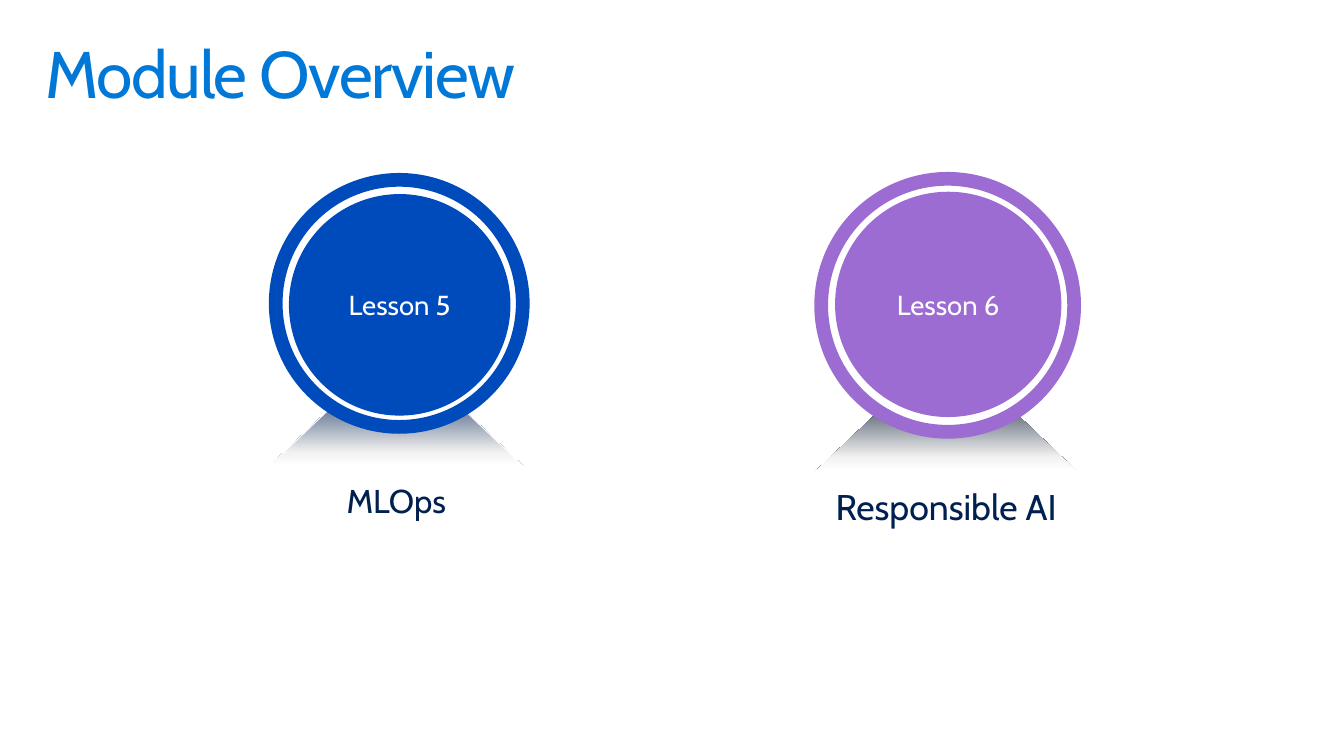
"""Build the Module Overview slide with two lesson badges."""
from dataclasses import dataclass
from typing import Optional

from pptx import Presentation
from pptx.dml.color import RGBColor
from pptx.enum.shapes import MSO_SHAPE as SHAPE
from pptx.enum.text import MSO_ANCHOR as ANCHOR, MSO_AUTO_SIZE as AUTO, PP_ALIGN as ALIGN
from pptx.oxml import parse_xml
from pptx.oxml.ns import nsdecls, qn
from pptx.util import Inches, Pt

FONT = "Cabin"
WHITE, NAVY, TITLE_BLUE = "FFFFFF", "002050", "0078D7"

Box = tuple[float, float, float, float]


@dataclass(frozen=True)
class Lesson:
    label: str
    topic: str
    topic_size: int
    color: str
    shade: str
    base: Box
    ring: Box
    disc: Box
    caption: Box
    edge: Optional[str] = None
    disc_edge: Optional[str] = None


LESSONS = [
    Lesson("Lesson 5", "MLOps", 24, "004BBC", NAVY,
           base=(2.72, 3.8, 2.58, 0.92), ring=(2.79, 1.82, 2.5, 2.5),
           disc=(2.93, 1.97, 2.23, 2.23), caption=(2.72, 4.81, 2.58, 0.57),
           edge=WHITE, disc_edge="004BBC"),
    Lesson("Lesson 6", "Responsible AI", 26, "9C6CD2", "001028",
           base=(8.25, 3.83, 2.65, 0.94), ring=(8.31, 1.81, 2.56, 2.56),
           disc=(8.45, 1.94, 2.29, 2.28), caption=(8.25, 4.86, 2.65, 0.6)),
]


def rgb(value: str) -> RGBColor:
    return RGBColor.from_string(value)


def inches(box: Box) -> list[int]:
    return [Inches(v) for v in box]


def set_line(sp, color: Optional[str], width: float = 0.75) -> None:
    if color is None:
        sp.line.fill.background()
    else:
        sp.line.color.rgb = rgb(color)
        sp.line.width = Pt(width)


def set_text(sp, text: str, *, size: int, color: str, align=ALIGN.CENTER,
             anchor=ANCHOR.TOP, pad_x: float = 0.16, pad_y: float = 0.1,
             spacing: float = 0.9, tracking: Optional[int] = None,
             auto_size=AUTO.NONE) -> None:
    tf = sp.text_frame
    tf.word_wrap = True
    tf.auto_size = auto_size
    tf.vertical_anchor = anchor
    tf.margin_left = tf.margin_right = Inches(pad_x)
    tf.margin_top = tf.margin_bottom = Inches(pad_y)
    p = tf.paragraphs[0]
    p.alignment = align
    p.line_spacing = spacing
    r = p.add_run()
    r.text = text
    r.font.name = FONT
    r.font.size = Pt(size)
    r.font.color.rgb = rgb(color)
    if tracking is not None:
        r.font._element.set("spc", str(tracking))


def add_shape(shapes, kind, box: Box, fill: Optional[str],
              line: Optional[str], width: float = 0.75):
    sp = shapes.add_shape(kind, *inches(box))
    sp.shadow.inherit = False
    if fill is None:
        sp.fill.background()
    else:
        sp.fill.solid()
        sp.fill.fore_color.rgb = rgb(fill)
    set_line(sp, line, width)
    return sp


def fade_down(sp, stops: list[tuple[int, str]]) -> None:
    marks = "".join(f'<a:gs pos="{pos * 1000}"><a:srgbClr val="{color}"/></a:gs>'
                    for pos, color in stops)
    gradient = parse_xml(f'<a:gradFill {nsdecls("a")} rotWithShape="1"><a:gsLst>{marks}'
                         '</a:gsLst><a:lin ang="5400000" scaled="0"/></a:gradFill>')
    props = sp._element.spPr
    props.replace(props.find(qn("a:noFill")), gradient)


def add_lesson(slide, lesson: Lesson) -> None:
    shapes = slide.shapes.add_group_shape().shapes
    base = add_shape(shapes, SHAPE.TRAPEZOID, lesson.base, None, lesson.edge)
    base.adjustments[0] = 1.056
    fade_down(base, [(0, lesson.shade), (85, "F2F2F2"), (100, WHITE)])
    add_shape(shapes, SHAPE.OVAL, lesson.ring, WHITE, lesson.color, 10)
    disc = add_shape(shapes, SHAPE.OVAL, lesson.disc, lesson.color, lesson.disc_edge, 0.85)
    set_text(disc, lesson.label, size=20, color=WHITE, anchor=ANCHOR.MIDDLE,
             pad_x=0, pad_y=0.05, spacing=1.0)
    caption = shapes.add_textbox(*inches(lesson.caption))
    set_line(caption, lesson.edge)
    set_text(caption, lesson.topic, size=lesson.topic_size, color=NAVY,
             auto_size=AUTO.SHAPE_TO_FIT_TEXT)


def main() -> None:
    prs = Presentation()
    prs.slide_width, prs.slide_height = Inches(13.6), Inches(7.65)
    slide = prs.slides.add_slide(prs.slide_layouts[5])
    title = slide.shapes.title
    title.left, title.top, title.width, title.height = inches((0.3, 0.32, 13, 1))
    set_text(title, "Module Overview", size=48, color=TITLE_BLUE,
             align=ALIGN.LEFT, tracking=-100)
    for lesson in LESSONS:
        add_lesson(slide, lesson)
    prs.save("out.pptx")


if __name__ == "__main__":
    main()
